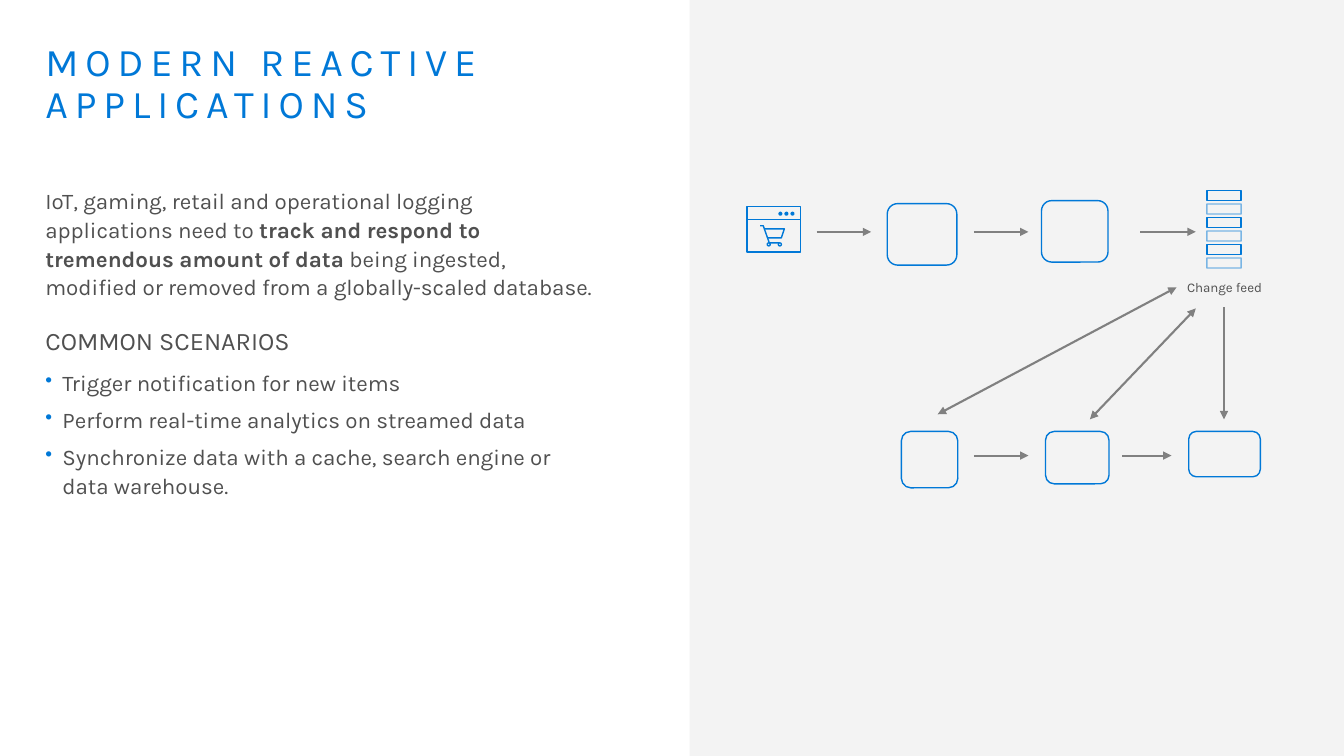
from dataclasses import dataclass

from lxml import etree
from pptx import Presentation
from pptx import util as u
from pptx.dml.color import RGBColor
from pptx.enum import shapes, text
from pptx.oxml import ns

BLUE = RGBColor(0x00, 0x78, 0xD7)
GREY = RGBColor(0x80, 0x80, 0x80)
INK = RGBColor(0x50, 0x50, 0x50)
PALE = RGBColor(0xF2, 0xF2, 0xF2)
FONT = "Karla"
SHAPE = shapes.MSO_SHAPE
HEADS, TAILS = ("headEnd",), ("tailEnd",)
COLUMNS = (0.84, 2.31, 3.85, 5.3)
ROWS = (2.3, 4.52)
CART_LINES = (((-14, -6), (-11, -6), (-5, 11), (5, 11)),
              ((-7, 6), (7, 6), (10, -3), (-10, -3)))


@dataclass
class Box:
    left: float
    top: float
    width: float
    height: float

    def emu(self):
        return [u.Inches(n) for n in (self.left, self.top, self.width, self.height)]


def apply(target, values):
    for name, value in values.items():
        setattr(target, name, value)


def add_element(parent, tag, **attributes):
    return etree.SubElement(parent, ns.qn("a:" + tag), attributes)


def set_alpha(fill, percent):
    color = next(fill._xPr.iter(ns.qn("a:srgbClr")))
    add_element(color, "alpha", val=str(percent * 1000))


def style_line(shape, color, width, ends=()):
    shape.line.color.rgb = color
    shape.line.width = u.Pt(width)
    for end in ends:
        add_element(shape.line._get_or_add_ln(), end, type="triangle")


def add_run(paragraph, words, color, spacing=0, **font):
    run = paragraph.add_run()
    run.text = words
    apply(run.font, {"name": FONT, **font})
    run.font.color.rgb = color
    if spacing:
        run._r.get_or_add_rPr().set("spc", str(spacing * 100))


def set_frame(frame):
    apply(frame, {"word_wrap": True, "vertical_anchor": text.MSO_ANCHOR.TOP,
                  "auto_size": text.MSO_AUTO_SIZE.NONE,
                  "margin_left": u.Inches(0.16), "margin_right": u.Inches(0.16),
                  "margin_top": u.Inches(0.1), "margin_bottom": u.Inches(0.1)})


def add_bullet(paragraph):
    properties = paragraph._p.get_or_add_pPr()
    indents = {"marL": u.Inches(0.17), "indent": -u.Inches(0.17)}
    for name, value in indents.items():
        properties.set(name, str(value))
    add_element(add_element(properties, "buClr"), "srgbClr", val=str(BLUE))
    add_element(properties, "buSzPct", val="90000")
    add_element(properties, "buChar", char="•")


def add_title(slide, box):
    title = slide.shapes.title
    apply(title, dict(zip(("left", "top", "width", "height"), box.emu())))
    set_frame(title.text_frame)
    paragraph = title.text_frame.paragraphs[0]
    apply(paragraph, {"line_spacing": 0.9, "alignment": text.PP_ALIGN.LEFT})
    add_run(paragraph, "MODERN REACTIVE APPLICATIONS", BLUE, spacing=5, size=u.Pt(28))


def add_body(slide, box):
    frame = slide.shapes.add_textbox(*box.emu()).text_frame
    set_frame(frame)
    body = {"line_spacing": 1.07, "space_after": u.Pt(6)}
    intro = frame.paragraphs[0]
    apply(intro, body)
    for words, bold in (
            ("IoT, gaming, retail and operational logging applications need to ", False),
            ("track and respond to tremendous amount of data", True),
            (" being ingested, modified or removed from a globally-scaled database.", False)):
        add_run(intro, words, INK, size=u.Pt(16), bold=bold)
    heading = frame.add_paragraph()
    apply(heading, {"space_before": u.Pt(12), "space_after": u.Pt(8)})
    add_run(heading, "COMMON SCENARIOS", INK, size=u.Pt(18))
    for scenario in ("Trigger notification for new items",
                     "Perform real-time analytics on streamed data",
                     "Synchronize data with a cache, search engine or data warehouse."):
        paragraph = frame.add_paragraph()
        add_bullet(paragraph)
        apply(paragraph, body)
        add_run(paragraph, scenario, INK, size=u.Pt(16))


def add_part(slide, center, kind, left, top, width, height, solid=False):
    box = Box(center[0] + left / 100, center[1] + top / 100, width / 100, height / 100)
    part = slide.shapes.add_shape(kind, *box.emu())
    part.shadow.inherit = False
    if solid:
        part.fill.solid()
        part.fill.fore_color.rgb = BLUE
        part.line.fill.background()
    else:
        part.fill.background()
        style_line(part, BLUE, 1)
    return part


def add_outline(slide, center, offsets):
    first, *others = [[u.Inches(middle + offset / 100) for middle, offset in zip(center, pair)]
                      for pair in offsets]
    builder = slide.shapes.build_freeform(*first, scale=1.0)
    builder.add_line_segments(others, close=False)
    shape = builder.convert_to_shape()
    shape.shadow.inherit = False
    shape.fill.background()
    style_line(shape, BLUE, 1)


def add_store_window(slide, center):
    add_part(slide, center, SHAPE.RECTANGLE, -27, -25, 53, 45)
    add_outline(slide, center, ((26, -12), (-27, -12)))
    for left in (4, 10, 16):
        add_part(slide, center, SHAPE.OVAL, left, -20, 4, 4, solid=True)
    for offsets in CART_LINES:
        add_outline(slide, center, offsets)
    for left in (-7, 4):
        add_part(slide, center, SHAPE.OVAL, left, 11, 3, 3)


def add_feed(slide, center):
    for index in range(6):
        bar = add_part(slide, center, SHAPE.RECTANGLE, -17, -41 + 13.4 * index, 34, 10)
        if index % 2:
            set_alpha(bar.line.fill, 50)
    label = Box(center[0] - 0.47, center[1] + 0.42, 0.95, 0.26)
    frame = slide.shapes.add_textbox(*label.emu()).text_frame
    frame.word_wrap = True
    frame.paragraphs[0].alignment = text.PP_ALIGN.CENTER
    add_run(frame.paragraphs[0], "Change feed", INK, size=u.Pt(9.5))


def add_arrow(slide, box, start, finish, ends=TAILS):
    points = [u.Inches(n) for x, y in (start, finish) for n in (box.left + x, box.top + y)]
    arrow = slide.shapes.add_connector(shapes.MSO_CONNECTOR.STRAIGHT, *points)
    style_line(arrow, GREY, 1.5, ends)
    add_element(arrow._element.spPr, "effectLst")


def add_diagram(slide, box):
    panel = slide.shapes.add_shape(SHAPE.RECTANGLE, *box.emu())
    panel.shadow.inherit = False
    panel.fill.solid()
    panel.fill.fore_color.rgb = PALE
    set_alpha(panel.fill, 89)
    panel.line.fill.background()
    top, bottom = [[(box.left + x, box.top + y) for x in COLUMNS] for y in ROWS]
    add_store_window(slide, top[0])
    for center, extent in ((top[1], (-35, -28, 69, 61)),
                           (top[2], (-36, -31, 66, 61)),
                           (bottom[1], (-21, -24, 56, 56)),
                           (bottom[2], (-32, -24, 63, 52)),
                           (bottom[3], (-35, -24, 71, 45))):
        add_part(slide, center, SHAPE.ROUNDED_RECTANGLE, *extent)
    add_feed(slide, top[3])
    for row, spans in zip(ROWS, (((1.26, 1.8), (2.82, 3.36), (4.47, 5.02)),
                                 ((2.82, 3.36), (4.29, 4.78)))):
        for start, finish in spans:
            add_arrow(slide, box, (start, row), (finish, row))
    add_arrow(slide, box, (COLUMNS[3], 3.05), (COLUMNS[3], 4.16))
    add_arrow(slide, box, (5.02, 3.06), (3.97, 4.16), HEADS + TAILS)
    add_arrow(slide, box, (4.83, 2.85), (2.46, 4.11), HEADS + TAILS)


def main():
    presentation = Presentation()
    apply(presentation, {"slide_width": u.Inches(13.33), "slide_height": u.Inches(7.5)})
    slide = presentation.slides.add_slide(presentation.slide_layouts[5])
    add_diagram(slide, Box(6.84, 0, 6.49, 7.5))
    add_title(slide, Box(0.29, 0.32, 5.76, 1.07))
    add_body(slide, Box(0.29, 1.74, 5.76, 3.34))
    presentation.save("out.pptx")


if __name__ == "__main__":
    main()
